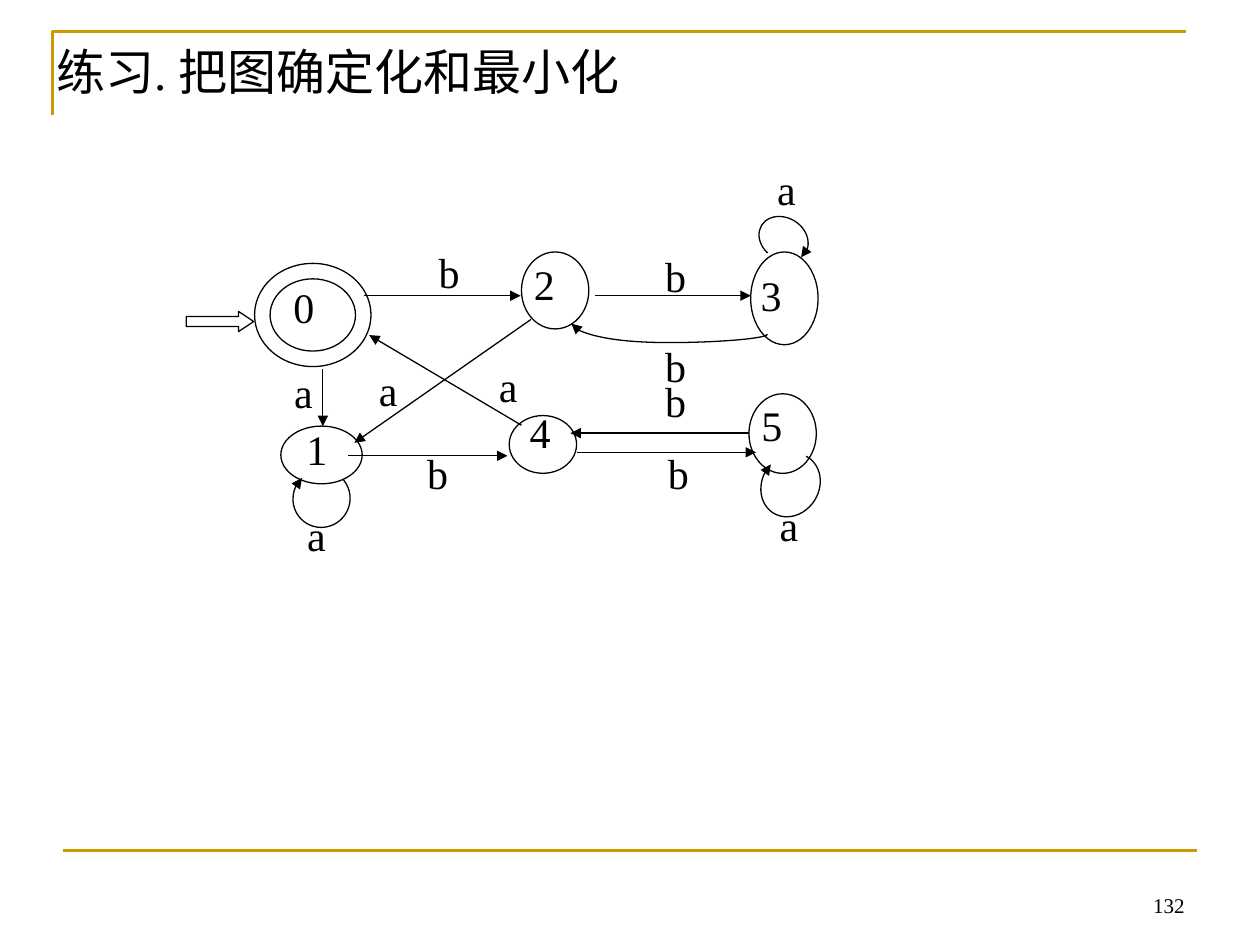
from lxml import etree
from pptx import Presentation
from pptx.dml.color import RGBColor
from pptx.enum.shapes import MSO_CONNECTOR, MSO_SHAPE
from pptx.enum.text import MSO_ANCHOR, MSO_AUTO_SIZE, PP_ALIGN
from pptx.oxml.ns import qn
from pptx.util import Pt

COLOURS = {"ink": "000000", "paper": "FFFFFF", "rule": "CC9900"}
FONT = "Times New Roman"
TITLE = "练习. 把图确定化和最小化"
PAGE_NUMBER = "132"

# Every box is left, top, width, height in points.
STATES = [
    (MSO_SHAPE.DONUT, (145.5, 150.5, 66.5, 59)),
    (MSO_SHAPE.OVAL, (160.5, 243.5, 46.5, 33)),
    (MSO_SHAPE.OVAL, (298, 144, 38.5, 44)),
    (MSO_SHAPE.OVAL, (429, 144, 38.5, 53)),
    (MSO_SHAPE.OVAL, (291, 237.5, 38.5, 33)),
    (MSO_SHAPE.OVAL, (428, 225, 38.5, 45.5)),
]
START_ARROW = (106.5, 178, 38.5, 11.5)

# Start and end point of each straight transition
TRANSITIONS = [
    ((208, 169), (297.5, 169)),
    ((340, 169), (429, 169)),
    ((184.5, 211), (184.5, 243.5)),
    ((303.5, 182.5), (202.5, 253)),
    ((298, 243), (211, 191.5)),
    ((199, 260.5), (290, 260.5)),
    ((428, 247.5), (326, 247.5)),
    ((329.5, 258.5), (432, 258.5)),
]

# Box, rotation in degrees, start and end adjustments
LOOPS = [
    ((433, 124.5, 29.5, 24), 211.9, (172.11, 116.72)),
    ((167.5, 268.5, 32.5, 33), 31.9, (172.11, 116.72)),
    ((435.5, 258.5, 32.5, 37.5), 31.9, (159.89, 116.72)),
]

# Text, left, top
LABELS = [
    ("0", 160.5, 157.5), ("1", 168, 238.5), ("2", 298, 144),
    ("3", 427.5, 150.5), ("4", 295.5, 228.5), ("5", 428, 225),
    ("b", 243.5, 137.5), ("b", 373, 139.5), ("b", 373, 191),
    ("b", 373, 211), ("b", 374.5, 252), ("b", 237, 252),
    ("a", 438.5, 282), ("a", 437, 90), ("a", 161, 206),
    ("a", 168.5, 287.5), ("a", 209.5, 205), ("a", 278, 202.5),
]
LABEL_WIDTHS = {"a": 25, "b": 26.5}
LABEL_HEIGHT = 36


def colour(name):
    return RGBColor.from_string(COLOURS[name])


def points(values):
    return [Pt(value) for value in values]


def style_line(shape, name="ink", width=0.75, arrow=False):
    shape.line.color.rgb = colour(name)
    shape.line.width = Pt(width)
    if arrow:
        line = shape.line._get_or_add_ln()
        etree.SubElement(line, qn("a:tailEnd"), type="triangle")


def add_outline(page, kind, box):
    shape = page.shapes.add_shape(kind, *points(box))
    shape.shadow.inherit = False
    shape.fill.solid()
    shape.fill.fore_color.rgb = colour("paper")
    style_line(shape)
    return shape


def add_line(page, start, end, kind=MSO_CONNECTOR.STRAIGHT, **style):
    line = page.shapes.add_connector(kind, *points(start + end))
    style_line(line, **style)
    etree.SubElement(line._element.spPr, qn("a:effectLst"))
    return line


def add_return_curve(page):
    """Curve from state 3 back to state 2, leaving and arriving vertically."""
    curve = add_line(page, (379.5, 244), (385.5, 132),
                     MSO_CONNECTOR.CURVE, arrow=True)
    properties = curve._element.spPr
    properties.find(qn("a:xfrm")).set("rot", str(270 * 60000))
    guides = properties.find(qn("a:prstGeom")).find(qn("a:avLst"))
    etree.SubElement(guides, qn("a:gd"), name="adj1", fmla="val -80500")


def add_loop(page, box, rotation, adjustments):
    loop = page.shapes.add_shape(MSO_SHAPE.ARC, *points(box))
    loop.shadow.inherit = False
    loop.fill.background()
    loop.rotation = rotation
    for index, value in enumerate(adjustments):
        loop.adjustments[index] = value
    style_line(loop, arrow=True)


def write(frame, text, size, align=PP_ALIGN.LEFT):
    frame.text = text
    paragraph = frame.paragraphs[0]
    paragraph.alignment = align
    paragraph.font.size = Pt(size)
    paragraph.font.name = FONT
    paragraph.font.color.rgb = colour("ink")


def add_label(page, text, left, top):
    width = LABEL_WIDTHS.get(text, 26.5)
    box = page.shapes.add_textbox(*points((left, top, width, LABEL_HEIGHT)))
    box.text_frame.word_wrap = False
    box.text_frame.auto_size = MSO_AUTO_SIZE.SHAPE_TO_FIT_TEXT
    write(box.text_frame, text, 24)


def add_frame(page):
    builder = page.shapes.build_freeform(Pt(30), Pt(66))
    builder.add_line_segments([(Pt(30), Pt(18)), (Pt(678), Pt(18))], close=False)
    corner = builder.convert_to_shape()
    corner.shadow.inherit = False
    corner.fill.background()
    style_line(corner, "rule", 1.5)
    add_line(page, (36, 486), (684, 486), name="rule", width=1.5)


def add_title(page):
    title = page.shapes.title
    title.left, title.top, title.width, title.height = points((25, 20, 663, 45.5))
    frame = title.text_frame
    frame.word_wrap = True
    frame.auto_size = MSO_AUTO_SIZE.NONE
    frame.vertical_anchor = MSO_ANCHOR.TOP
    write(frame, TITLE, 28)


def add_page_number(page):
    box = page.shapes.add_textbox(*points((516, 492, 168, 36)))
    box.text_frame.word_wrap = True
    box.text_frame.vertical_anchor = MSO_ANCHOR.BOTTOM
    write(box.text_frame, PAGE_NUMBER, 12, PP_ALIGN.RIGHT)


def main():
    deck = Presentation()
    deck.slide_width, deck.slide_height = Pt(720), Pt(540)
    page = deck.slides.add_slide(deck.slide_layouts[5])
    add_frame(page)
    add_title(page)
    add_page_number(page)
    for kind, box in STATES:
        state = add_outline(page, kind, box)
        if kind == MSO_SHAPE.DONUT:
            state.adjustments[0] = 0.15
    start_arrow = add_outline(page, MSO_SHAPE.RIGHT_ARROW, START_ARROW)
    start_arrow.adjustments[1] = 0.75
    for start, end in TRANSITIONS:
        add_line(page, start, end, arrow=True)
    add_return_curve(page)
    for loop in LOOPS:
        add_loop(page, *loop)
    for label in LABELS:
        add_label(page, *label)
    deck.save("out.pptx")


if __name__ == "__main__":
    main()
